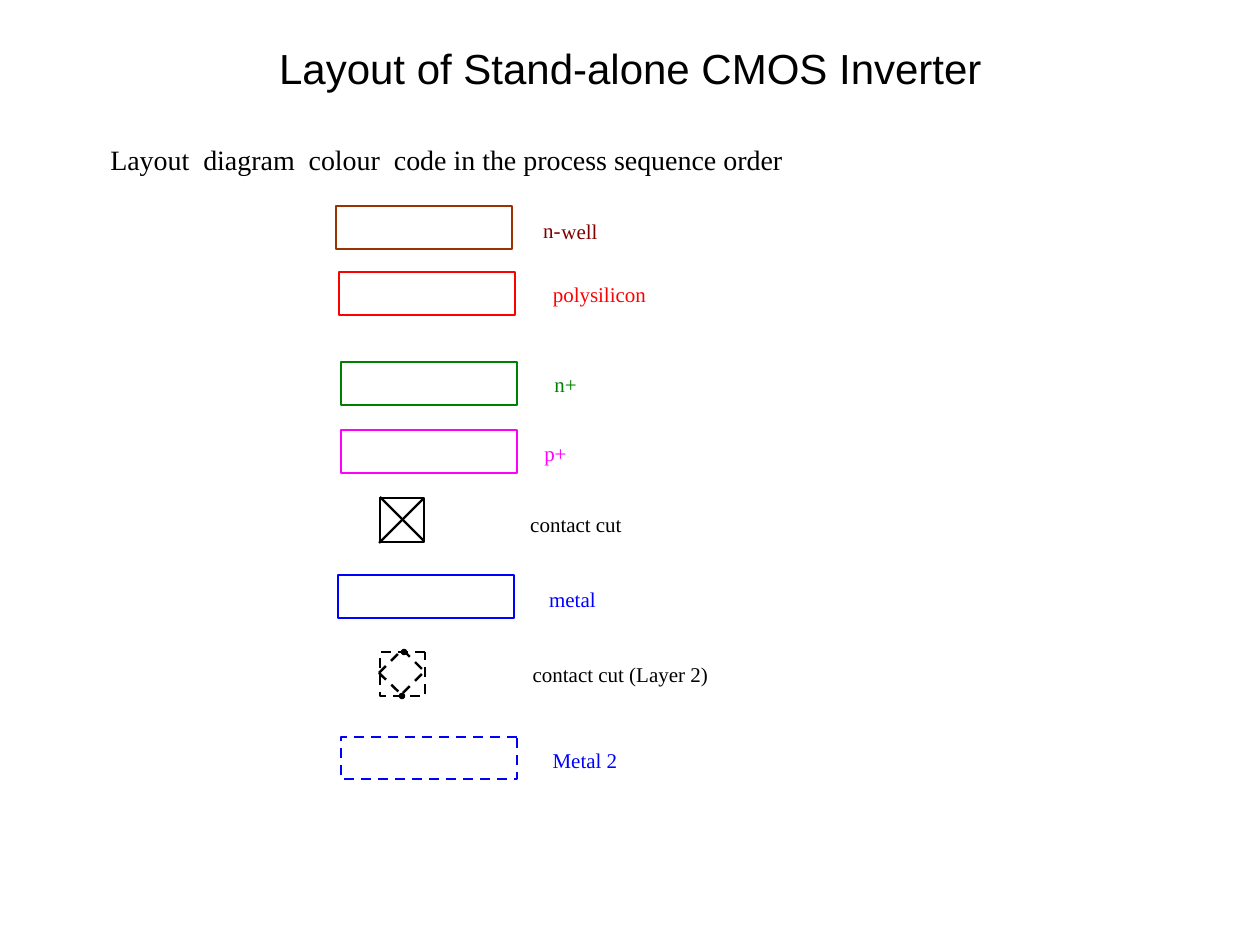
import pptx
import pptx.dml.color
import pptx.enum.dml
import pptx.enum.shapes
import pptx.enum.text
import pptx.oxml
import pptx.oxml.ns
import pptx.util
from dataclasses import dataclass

EMU_PER_PX = 914400 / 126
SWATCH_SIZE = (176, 43)
LABEL_HEIGHT = 25
LABEL_SLACK = 2


@dataclass(frozen=True)
class Theme:
    """Colours, fonts and sizes of the slide."""
    black: str = "000000"
    white: str = "FFFFFF"
    n_well: str = "993300"
    n_well_label: str = "800000"
    polysilicon: str = "FF0000"
    n_plus: str = "008000"
    p_plus: str = "FF00FF"
    metal: str = "0000FF"
    heading_font: str = "Arial"
    body_font: str = "Times New Roman"
    heading_size: int = 24
    intro_size: int = 16
    label_size: int = 12
    stroke: float = 1.39


THEME = Theme()


def px(*lengths):
    """Turn picture pixels into EMU."""
    return [pptx.util.Emu(round(length * EMU_PER_PX)) for length in lengths]


def rgb(colour):
    """Turn a hex string into a colour."""
    return pptx.dml.color.RGBColor.from_string(colour)


def style_line(line, colour, dashed=False):
    """Set the colour, width and dash of a line."""
    line.color.rgb = rgb(colour)
    line.width = pptx.util.Pt(THEME.stroke)
    if dashed:
        line.dash_style = pptx.enum.dml.MSO_LINE.DASH


def add_text(slide, box, runs, size, colour, font=THEME.body_font, wrap=False, margins=(0, 0)):
    """Add one centred line of text, run by run, in a box that fits it."""
    frame = slide.shapes.add_textbox(*px(*box)).text_frame
    frame.word_wrap = wrap
    frame.auto_size = pptx.enum.text.MSO_AUTO_SIZE.SHAPE_TO_FIT_TEXT
    frame.margin_left = frame.margin_right = pptx.util.Inches(margins[0])
    frame.margin_top = frame.margin_bottom = pptx.util.Inches(margins[1])
    line = frame.paragraphs[0]
    line.alignment = pptx.enum.text.PP_ALIGN.CENTER
    for words in runs:
        run = line.add_run()
        run.text = words
        run.font.name = font
        run.font.size = pptx.util.Pt(size)
        run.font.color.rgb = rgb(colour)


def add_label(slide, left, top, width, words, colour):
    """Add the name of a layer, with a little slack on both sides."""
    box = (left - LABEL_SLACK, top, width + 2 * LABEL_SLACK, LABEL_HEIGHT)
    add_text(slide, box, [words], THEME.label_size, colour)


def add_solid(slide, kind, box, colour, fill):
    """Add a filled preset shape with a solid outline."""
    shape = slide.shapes.add_shape(kind, *px(*box))
    shape.shadow.inherit = False
    shape.fill.solid()
    shape.fill.fore_color.rgb = rgb(fill)
    style_line(shape.line, colour)


def add_box(slide, box, colour):
    """Add a white rectangle with a coloured outline."""
    add_solid(slide, pptx.enum.shapes.MSO_SHAPE.RECTANGLE, box, colour, THEME.white)


def add_dashed_box(slide, left, top, right, bottom, colour):
    """Add a dashed rectangle whose dashes start at the top right and run anticlockwise."""
    builder = slide.shapes.build_freeform(right, top, scale=EMU_PER_PX)
    builder.add_line_segments([(left, top), (left, bottom), (right, bottom)], close=True)
    outline = builder.convert_to_shape()
    outline.shadow.inherit = False
    outline.fill.background()
    style_line(outline.line, colour, dashed=True)


def add_stroke(slide, start, end, colour, dashed=False):
    """Add a straight line between two points."""
    stroke = slide.shapes.add_connector(
        pptx.enum.shapes.MSO_CONNECTOR.STRAIGHT, *px(*start, *end))
    style_line(stroke.line, colour, dashed)
    properties = stroke.element.find(pptx.oxml.ns.qn("p:spPr"))
    properties.append(pptx.oxml.parse_xml(
        '<a:effectLst xmlns:a="http://schemas.openxmlformats.org/drawingml/2006/main"/>'))


def add_contact_cut(slide):
    """Add the crossed square of a contact cut."""
    add_box(slide, (380, 498, 44, 44), THEME.black)
    add_stroke(slide, (380, 497), (424, 541), THEME.black)
    add_stroke(slide, (379, 543), (424, 498), THEME.black)


def add_second_contact_cut(slide):
    """Add the dashed square and diamond of a second-layer contact cut."""
    for left, top in ((402, 650), (400, 694)):
        add_solid(slide, pptx.enum.shapes.MSO_SHAPE.OVAL, (left, top, 4, 4),
                  THEME.black, THEME.black)
    add_dashed_box(slide, 380, 652, 425, 696, THEME.black)
    for start, end in (((379, 673), (402, 650)), ((403, 650), (425, 672)),
                       ((403, 693), (424, 672)), ((379, 673), (402, 695))):
        add_stroke(slide, start, end, THEME.black, dashed=True)


def main():
    """Build the colour code slide."""
    deck = pptx.Presentation()
    deck.slide_width, deck.slide_height = px(1260, 945)
    slide = deck.slides.add_slide(deck.slide_layouts[6])

    add_text(slide, (46, 36, 1169, 63), ["Layout of Stand-alone CMOS Inverter"],
             THEME.heading_size, THEME.black, THEME.heading_font, True, (0.1, 0.05))
    add_text(slide, (110, 142, 673, 34),
             ["Layout  diagram  colour  code in the process sequence order"],
             THEME.intro_size, THEME.black)

    swatches = (
        (336, 206, THEME.n_well),
        (339, 272, THEME.polysilicon),
        (341, 362, THEME.n_plus),
        (341, 430, THEME.p_plus),
        (338, 575, THEME.metal),
    )
    for left, top, colour in swatches:
        add_box(slide, (left, top, *SWATCH_SIZE), colour)
    add_contact_cut(slide)
    add_second_contact_cut(slide)
    add_dashed_box(slide, 341, 737, 517, 779, THEME.metal)

    labels = (
        (543, 218, 18, "n-", THEME.n_well_label),
        (561, 219, 37, "well", THEME.n_well_label),
        (553, 282, 93, "polysilicon", THEME.polysilicon),
        (549, 372, 28, " n+", THEME.n_plus),
        (544, 441, 23, "p+", THEME.p_plus),
        (530, 512, 92, "contact cut", THEME.black),
        (549, 587, 47, "metal", THEME.metal),
        (533, 662, 175, "contact cut (Layer 2)", THEME.black),
        (553, 748, 64, "Metal 2", THEME.metal),
    )
    for label in labels:
        add_label(slide, *label)

    deck.save("out.pptx")


main()
